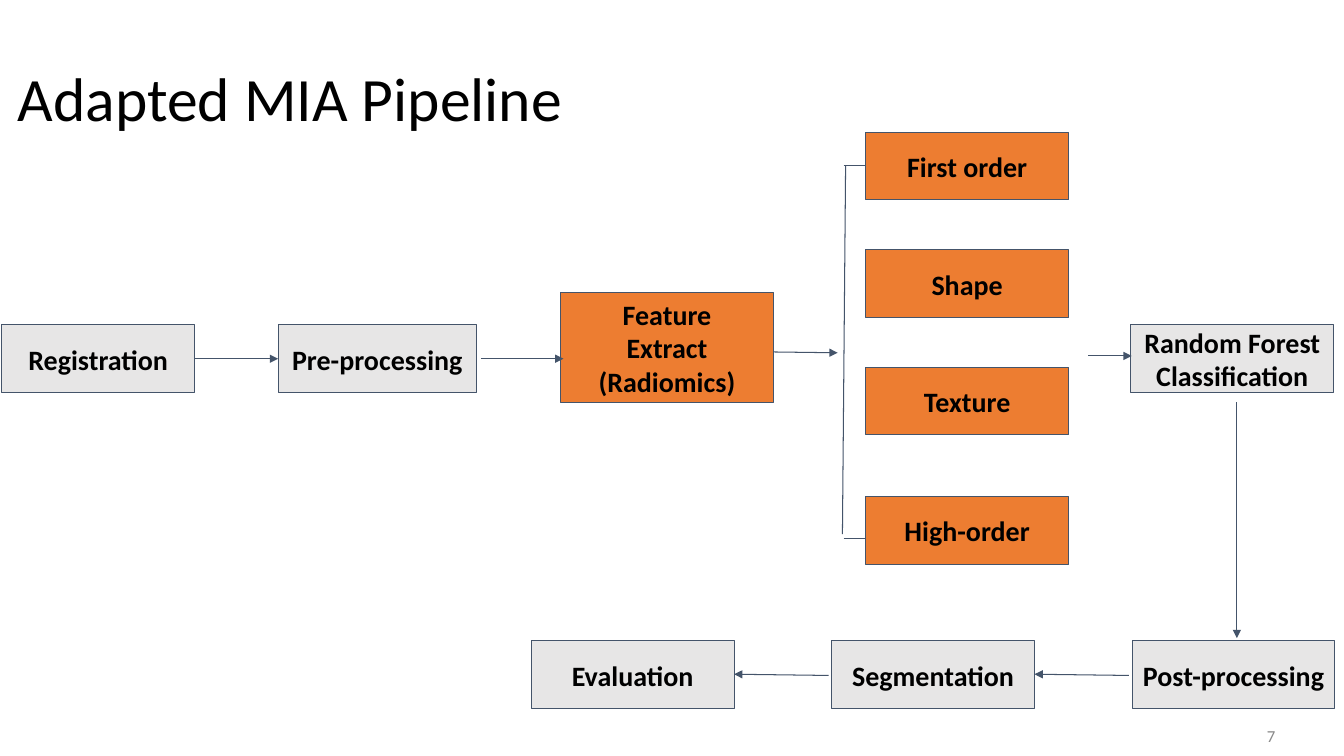
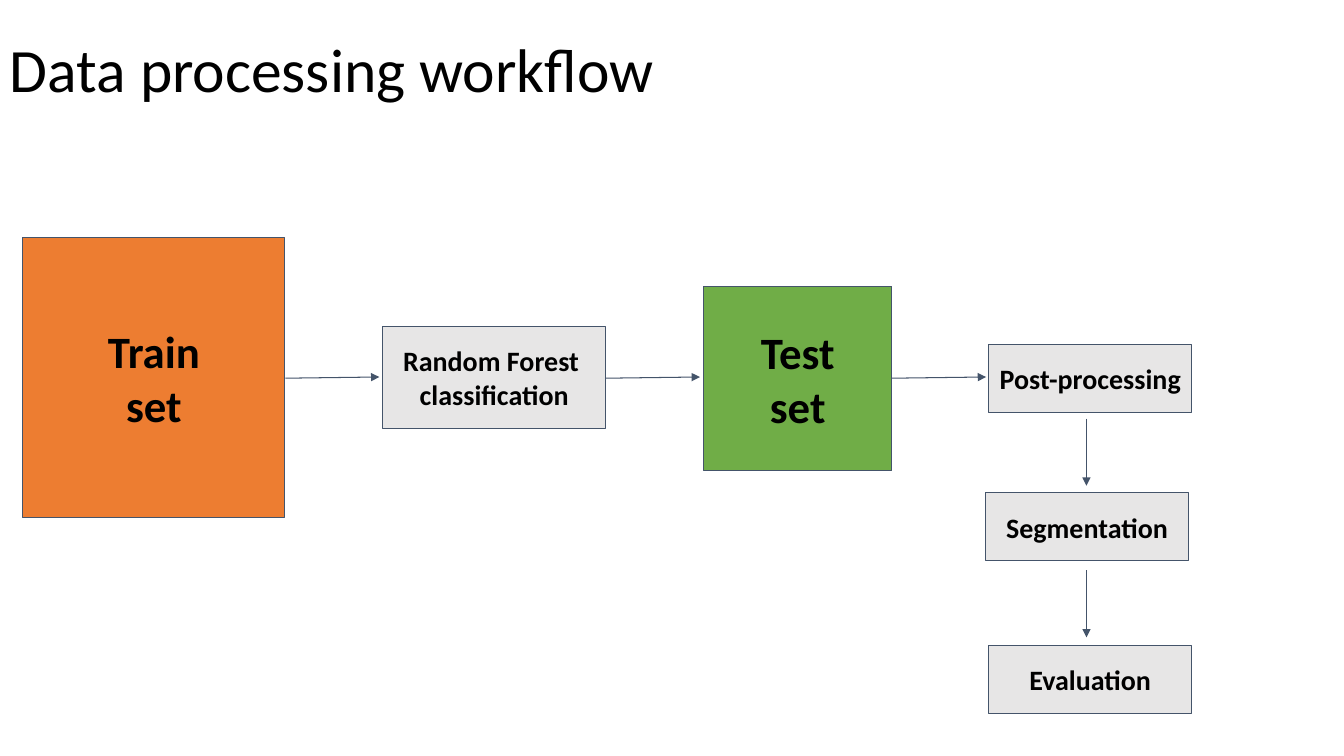
from pptx import Presentation
from pptx.dml.color import RGBColor
from pptx.enum.shapes import MSO_CONNECTOR, MSO_SHAPE
from pptx.enum.text import MSO_ANCHOR, PP_ALIGN
from pptx.oxml.ns import qn
from pptx.util import Cm, Pt
from lxml import etree

RECT = MSO_SHAPE.RECTANGLE
STRAIGHT = MSO_CONNECTOR.STRAIGHT
MIDDLE = MSO_ANCHOR.MIDDLE
LEFT, CENTER, RIGHT = PP_ALIGN.LEFT, PP_ALIGN.CENTER, PP_ALIGN.RIGHT

FONT = "Calibri"
BLACK, MUTED, SLATE = "000000", "888888", "44546A"
GRAY, ORANGE, GREEN = "E7E6E6", "ED7D31", "70AD47"
BOX_W, BOX_H = 5.11, 1.71


def rgb(value):
    return RGBColor.from_string(value)


def write(tf, text, size=20, color=BLACK, bold=False, align=LEFT,
          spacing=1.0, inset=(0.25, 0.13)):
    tf.word_wrap = True
    tf.vertical_anchor = MIDDLE
    tf.margin_left = tf.margin_right = Cm(inset[0])
    tf.margin_top = tf.margin_bottom = Cm(inset[1])
    for i, line in enumerate(text.split("\n")):
        p = tf.add_paragraph() if i else tf.paragraphs[0]
        p.alignment = align
        p.line_spacing = spacing
        r = p.add_run()
        r.text = line
        r.font.name = FONT
        r.font.size = Pt(size)
        r.font.bold = bold
        r.font.color.rgb = rgb(color)


class Deck:
    def __init__(self):
        self.prs = Presentation()
        self.prs.slide_width = Cm(33.87)
        self.prs.slide_height = Cm(19.05)
        self.s = None

    def slide(self, title, x, y):
        self.s = self.prs.slides.add_slide(self.prs.slide_layouts[6])
        self.text(title, x, y, 29.21, 3.68, size=44, spacing=0.9)

    def text(self, text, x, y, w, h, **style):
        sp = self.s.shapes.add_textbox(Cm(x), Cm(y), Cm(w), Cm(h))
        write(sp.text_frame, text, **style)

    def number(self, value):
        self.text(str(value), 24.77, 18.03, 7.62, 1.01,
                  size=12, color=MUTED, align=RIGHT)

    def box(self, text, x, y, w=BOX_W, h=BOX_H, fill=GRAY, size=20):
        sp = self.s.shapes.add_shape(RECT, Cm(x), Cm(y), Cm(w), Cm(h))
        sp.shadow.inherit = False
        sp.fill.solid()
        sp.fill.fore_color.rgb = rgb(fill)
        sp.line.color.rgb = rgb(SLATE)
        sp.line.width = Pt(0.75)
        write(sp.text_frame, text, size=size, bold=True, align=CENTER,
              inset=(0.2, 0.25))

    def line(self, x1, y1, x2, y2, arrow=False):
        c = self.s.shapes.add_connector(STRAIGHT, Cm(x1), Cm(y1), Cm(x2), Cm(y2))
        c.line.color.rgb = rgb(SLATE)
        c.line.width = Pt(0.75)
        if arrow:
            etree.SubElement(c.line._get_or_add_ln(), qn("a:tailEnd"), type="triangle")
        etree.SubElement(c._element.spPr, qn("a:effectLst"))

    def arrow(self, x1, y1, x2, y2):
        self.line(x1, y1, x2, y2, arrow=True)


def pipeline(deck):
    deck.slide("Adapted MIA Pipeline", 0.2, 0.71)
    deck.number(7)

    row_y = 8.19
    deck.box("Registration", 0.05, row_y, w=4.85)
    deck.box("Pre-processing", 7.01, row_y, w=5)
    deck.box("Random Forest Classification", 28.5, row_y)
    deck.box("Feature\nExtract\n(Radiomics)", 14.12, 7.37, 5.38, 2.77, fill=ORANGE)
    deck.arrow(4.9, 9.04, 7.01, 9.04)
    deck.arrow(12.12, 9.04, 14.2, 9.04)
    deck.arrow(19.5, 8.87, 21.11, 8.89)
    deck.arrow(27.43, 8.97, 28.52, 8.97)

    feature_x = 21.82
    features = [("First order", 3.33), ("Shape", 6.3),
                ("Texture", 9.25), ("High-order", 12.52)]
    for name, y in features:
        deck.box(name, feature_x, y, fill=ORANGE)
    for y in (4.17, 13.56):
        deck.line(21.26, y, feature_x, y)
    deck.line(21.31, 4.17, 21.23, 13.46)

    deck.arrow(31.17, 10.13, 31.17, 16.08)
    for i, name in enumerate(["Evaluation", "Segmentation", "Post-processing"]):
        x = 13.39 + 7.57 * i
        deck.box(name, x, 16.15)
        if i:
            deck.arrow(x - 0.08, 17.02, x - 7.57 + BOX_W, 16.99)


def workflow(deck):
    deck.slide("Data processing workflow", 0, 0)

    deck.box("Train\nset", 0.58, 5.99, 6.6, 7.04, fill=ORANGE, size=32)
    deck.box("Random Forest \nclassification", 9.65, 8.23, 5.61, 2.57)
    deck.box("Test\nset", 17.73, 7.21, 4.75, 4.65, fill=GREEN, size=32)
    for x in (7.19, 15.27, 22.48):
        deck.arrow(x, 9.53, x + 2.37, 9.5)

    for name, x, y in [("Post-processing", 24.92, 8.69),
                       ("Segmentation", 24.84, 12.42),
                       ("Evaluation", 24.92, 16.26)]:
        deck.box(name, x, y)
    for y in (10.55, 14.37):
        deck.arrow(27.38, y, 27.38, y + 1.69)


def main():
    deck = Deck()
    pipeline(deck)
    workflow(deck)
    deck.prs.save("out.pptx")


if __name__ == "__main__":
    main()
